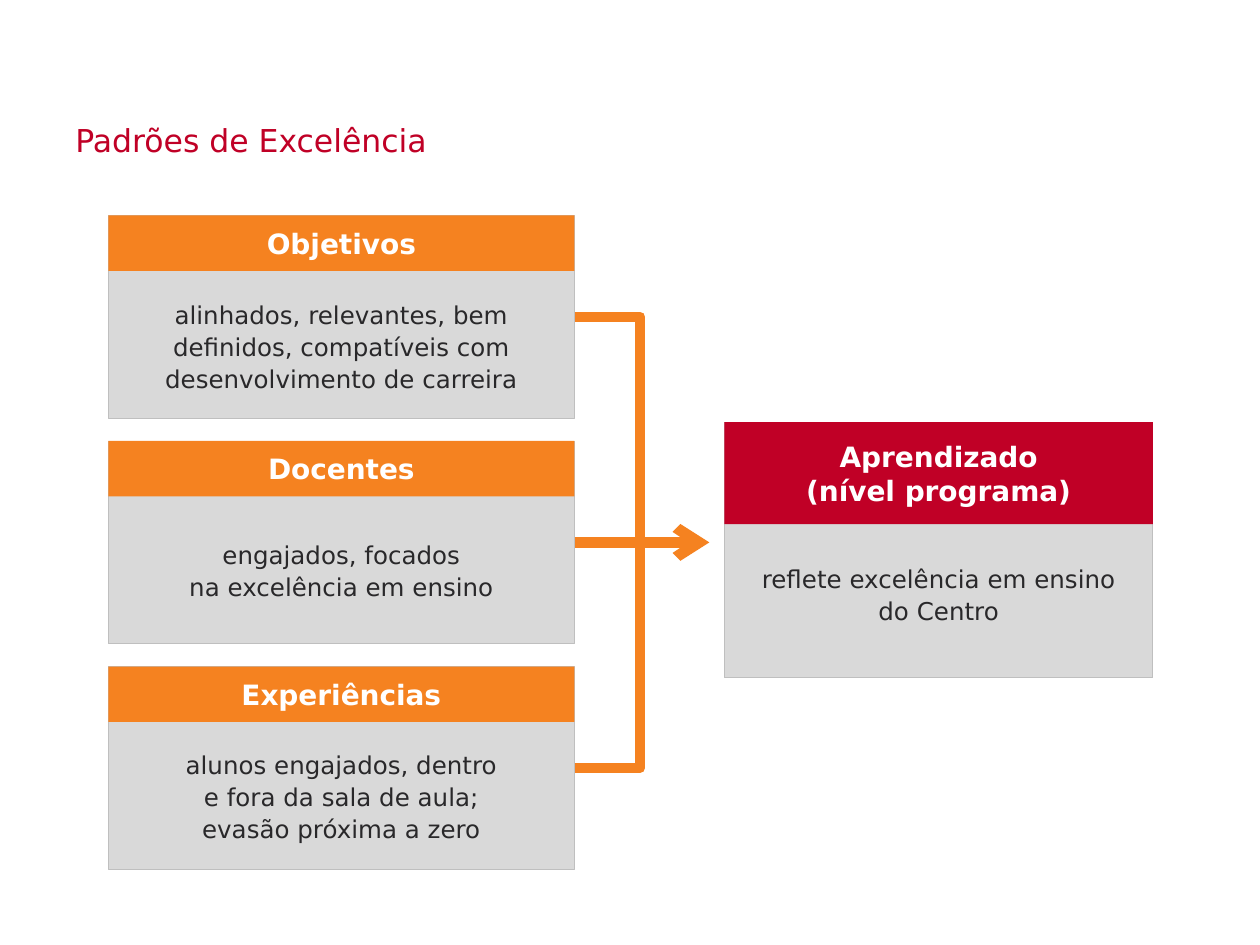
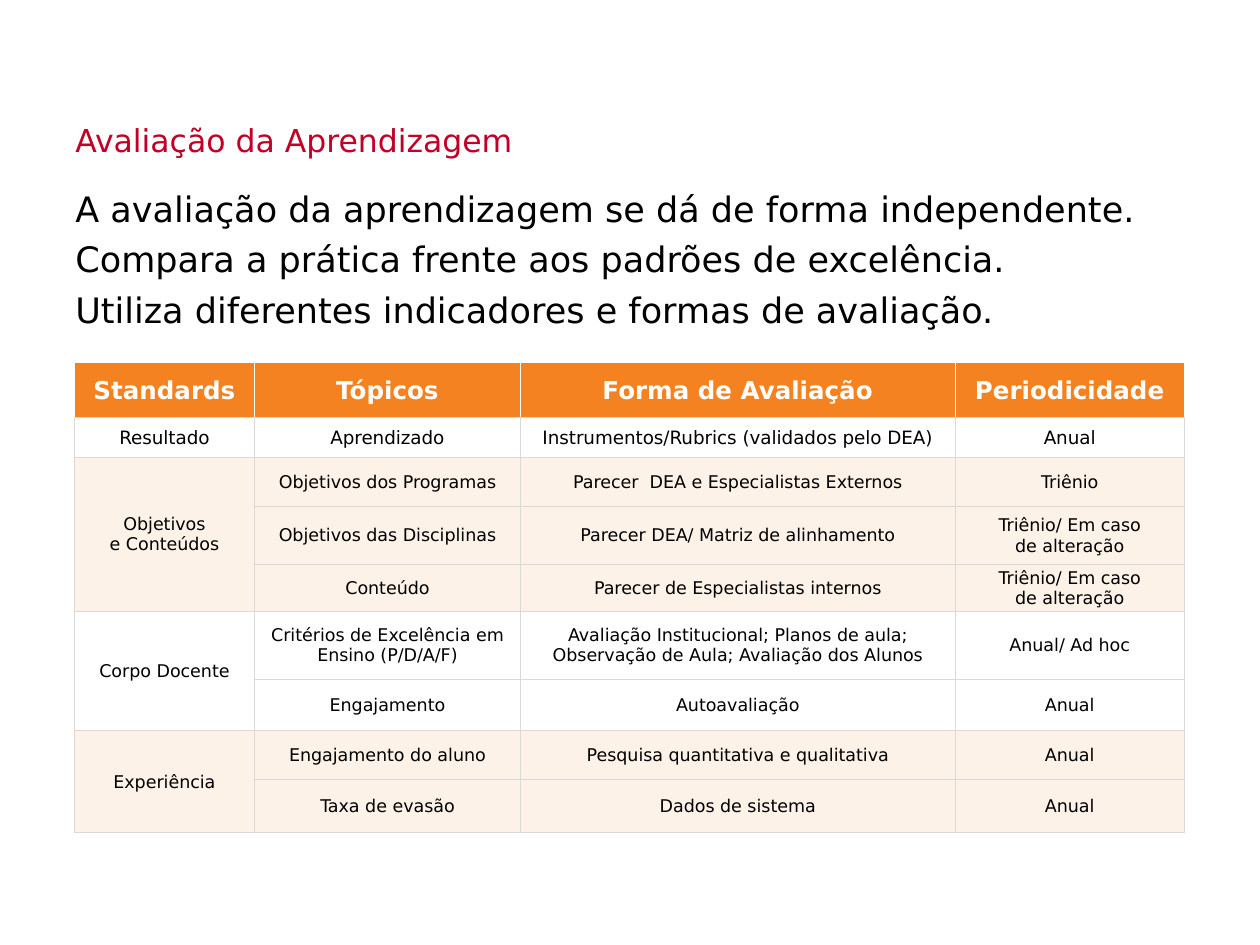
from lxml.etree import SubElement
from pptx import Presentation
from pptx.dml.color import RGBColor
from pptx.enum.shapes import MSO_CONNECTOR, MSO_SHAPE
from pptx.enum.text import MSO_ANCHOR, PP_ALIGN
from pptx.oxml import parse_xml
from pptx.oxml.ns import nsdecls, qn
from pptx.util import Inches, Pt

FONT = "DejaVu Sans"
RED = RGBColor(0xC0, 0x00, 0x26)
ORANGE = RGBColor(0xF5, 0x82, 0x20)
GRAY = RGBColor(0xD9, 0xD9, 0xD9)
EDGE = RGBColor(0xBF, 0xBF, 0xBF)
DARK = RGBColor(0x29, 0x28, 0x2A)
BLACK = RGBColor(0, 0, 0)
WHITE = RGBColor(0xFF, 0xFF, 0xFF)


class Deck:
    """Holds the shared style and the current slide."""

    def __init__(self):
        self.prs = Presentation()
        self.prs.slide_width = Inches(10)
        self.prs.slide_height = Inches(7.5)

    def page(self, title):
        self.slide = self.prs.slides.add_slide(self.prs.slide_layouts[6])
        self.shapes = self.slide.shapes
        self.text(title, 0.5, 0.85, 9, 0.68, 18, RED, space=1.2)

    def label(self, frame, text, size, color, bold=False, align=PP_ALIGN.CENTER, space=None):
        frame.text = text
        frame.word_wrap = True
        for para in frame.paragraphs:
            para.alignment = align
            if space:
                para.line_spacing = space
            font = para.font
            font.name, font.size, font.bold = FONT, Pt(size), bold
            font.color.rgb = color

    def text(self, text, left, top, width, height, size, color,
             align=PP_ALIGN.LEFT, space=None, anchor=MSO_ANCHOR.TOP):
        box = self.shapes.add_textbox(Inches(left), Inches(top), Inches(width), Inches(height))
        self.label(box.text_frame, text, size, color, align=align, space=space)
        box.text_frame.vertical_anchor = anchor

    def rect(self, left, top, width, height, fill, edge=None):
        shape = self.shapes.add_shape(MSO_SHAPE.RECTANGLE, Inches(left), Inches(top),
                                      Inches(width), Inches(height))
        shape.shadow.inherit = False
        shape.fill.solid()
        shape.fill.fore_color.rgb = fill
        if edge:
            shape.line.color.rgb = edge
            shape.line.width = Pt(0.5)
        else:
            shape.line.fill.background()
        return shape

    def card(self, left, top, width, height, band, color, head, body, middle, tall):
        """Gray box with a coloured heading band; returns the box."""
        box = self.rect(left, top, width, height, GRAY, EDGE)
        self.text(body, left, middle - tall / 2, width, tall, 14, DARK,
                  PP_ALIGN.CENTER, 1.1, MSO_ANCHOR.MIDDLE)
        bar = self.rect(left, top, width, band, color)
        self.label(bar.text_frame, head, 16, WHITE, bold=True)
        bar.text_frame.vertical_anchor = MSO_ANCHOR.MIDDLE
        return box

    def link(self, kind, x1, y1, x2, y2):
        line = self.shapes.add_connector(kind, Inches(x1), Inches(y1), Inches(x2), Inches(y2))
        line.line.color.rgb = ORANGE
        line.line.width = Pt(6)
        SubElement(line._element.spPr, qn("a:effectLst"))
        return line

    def elbow(self, x1, y1, x2, y2, bend=None):
        """One corner without a bend; otherwise two, at that share of the width."""
        line = self.link(MSO_CONNECTOR.ELBOW, x1, y1, x2, y2)
        geom = line._element.spPr.find(qn("a:prstGeom"))
        if bend is None:
            geom.set("prst", "bentConnector2")
            return
        guides = geom.find(qn("a:avLst"))
        if guides is None:
            guides = SubElement(geom, qn("a:avLst"))
        SubElement(guides, qn("a:gd"), name="adj1", fmla=f"val {round(bend * 100000)}")

    def arrow(self, x1, y1, x2, y2):
        line = self.link(MSO_CONNECTOR.STRAIGHT, x1, y1, x2, y2)
        SubElement(line._element.spPr.find(qn("a:ln")), qn("a:tailEnd"), type="arrow")
        return line

    def cell(self, cell, text, size, color, fill, bold=False, alpha=None, side=GRAY):
        self.label(cell.text_frame, text, size, color, bold)
        cell.vertical_anchor = MSO_ANCHOR.MIDDLE
        cell.margin_left = cell.margin_right = cell.margin_top = Inches(0.01)
        cell.margin_bottom = 0
        cell.fill.solid()
        cell.fill.fore_color.rgb = fill
        props = cell._tc.get_or_add_tcPr()
        if alpha:
            tint = props.find(qn("a:solidFill")).find(qn("a:srgbClr"))
            SubElement(tint, qn("a:alpha"), val=str(alpha * 1000))
        # Borders come before the fill
        for i, (edge, hue) in enumerate(zip("LRTB", (side, side, side, GRAY))):
            props.insert(i, parse_xml(
                f'<a:ln{edge} {nsdecls("a")} w="6350"><a:solidFill>'
                f'<a:srgbClr val="{hue}"/></a:solidFill></a:ln{edge}>'))

    def table(self, left, top, cols, rows, head, groups):
        frame = self.shapes.add_table(len(rows), len(cols), Inches(left), Inches(top),
                                      Inches(sum(cols)), Inches(sum(rows)))
        grid = frame.table
        for col, width in zip(grid.columns, cols):
            col.width = Inches(width)
        for row, height in zip(grid.rows, rows):
            row.height = Inches(height)
        for c, title in enumerate(head):
            self.cell(grid.cell(0, c), title, 14, WHITE, ORANGE, True, side=WHITE)
        # Groups of rows, every second one tinted
        r = 1
        for g, (name, lines) in enumerate(groups):
            first = r
            fill, alpha = (ORANGE, 10) if g % 2 else (WHITE, None)
            for line in lines:
                lead = name if r == first else ""
                for c, value in enumerate((lead, *line)):
                    self.cell(grid.cell(r, c), value, 10 if g else 10.5, BLACK, fill, alpha=alpha)
                r += 1
            if len(lines) > 1:
                grid.cell(first, 0).merge(grid.cell(r - 1, 0))


# Heading, text, middle and height of the text
CAUSES = [
    ("Objetivos", "alinhados, relevantes, bem definidos, compatíveis com "
     "desenvolvimento de carreira", 2.74, 0.82),
    ("Docentes", "engajados, focados\vna excelência em ensino", 4.52, 0.67),
    ("Experiências", "alunos engajados, dentro\ve fora da sala de aula;\n"
     "evasão próxima a zero", 6.31, 0.91),
]
HEAD = ["Standards", "Tópicos", "Forma de Avaliação", "Periodicidade"]
GROUPS = [
    ("Resultado", [
        ("Aprendizado", "Instrumentos/Rubrics (validados pelo DEA)", "Anual")]),
    ("Objetivos\ve Conteúdos", [
        ("Objetivos dos Programas", "Parecer  DEA e Especialistas Externos", "Triênio"),
        ("Objetivos das Disciplinas", "Parecer DEA/ Matriz de alinhamento",
         "Triênio/ Em caso\vde alteração"),
        ("Conteúdo", "Parecer de Especialistas internos", "Triênio/ Em caso\vde alteração")]),
    ("Corpo Docente", [
        ("Critérios de Excelência em Ensino (P/D/A/F)",
         "Avaliação Institucional; Planos de aula; Observação de Aula; Avaliação dos Alunos",
         "Anual/ Ad hoc"),
        ("Engajamento", "Autoavaliação", "Anual")]),
    ("Experiência", [
        ("Engajamento do aluno", "Pesquisa quantitativa e qualitativa", "Anual"),
        ("Taxa de evasão", "Dados de sistema", "Anual")]),
]


def main():
    deck = Deck()

    # Slide 1: three causes lead to learning
    deck.page("Padrões de Excelência")
    left, top, width, height, step = 0.86, 1.71, 3.7, 1.61, 1.79
    boxes = [deck.card(left, top + i * step, width, height, 0.44, ORANGE, *cause)
             for i, cause in enumerate(CAUSES)]
    deck.card(5.75, 3.35, 3.4, 2.03, 0.81, RED, "Aprendizado\v(nível programa)",
              "reflete excelência em ensino\ndo Centro", 4.71, 0.67)

    # Connectors from the causes
    right = left + width
    high, mid, low = (top + height / 2 + i * step for i in range(3))
    deck.elbow(right, high, 5.08, mid)
    deck.elbow(right, low, 5.44, mid, 0.59)
    deck.arrow(right, mid, 5.63, mid).begin_connect(boxes[1], 3)

    # Slide 2: how learning is assessed
    deck.page("Avaliação da Aprendizagem")
    deck.text("A avaliação da aprendizagem se dá de forma independente. "
              "Compara a prática frente aos padrões de excelência.\v"
              "Utiliza diferentes indicadores e formas de avaliação.",
              0.5, 1.37, 9, 0.62, 20, BLACK, space=1.2)
    deck.table(0.59, 2.88, [1.43, 2.11, 3.45, 1.82],
               [0.43, 0.32, 0.39, 0.46, 0.37, 0.54, 0.41, 0.39, 0.42], HEAD, GROUPS)

    deck.prs.save("out.pptx")


if __name__ == "__main__":
    main()
